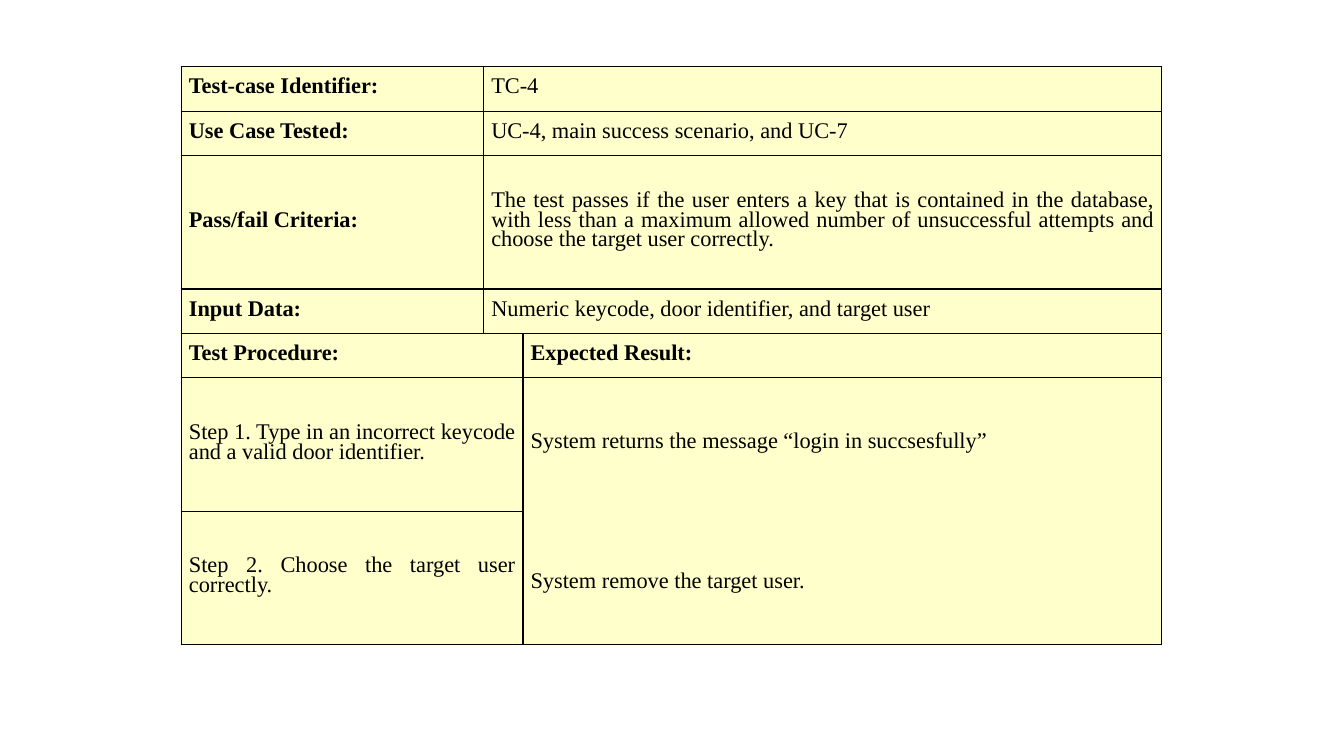
from lxml import etree
from pptx import Presentation
from pptx import util as u
from pptx.dml.color import RGBColor
from pptx.enum import text
from pptx.oxml import ns

BLACK = RGBColor(0x00, 0x00, 0x00)
CREAM = RGBColor(0xFF, 0xFF, 0xCC)

COLUMN_WIDTHS = (7.62, 0.99, 16.1)
SHORT, TALL = 1.12, 3.36
ROW_HEIGHTS = (SHORT, SHORT, TALL, SHORT, SHORT, TALL, TALL)

DETAILS = (
    ("Test-case Identifier:", "TC-4"),
    ("Use Case Tested:", "UC-4, main success scenario, and UC-7"),
    ("Pass/fail Criteria:",
     "The test passes if the user enters a key that is contained in the database, "
     "with less than a maximum allowed number of unsuccessful attempts and "
     "choose the target user correctly."),
    ("Input Data:", "Numeric keycode, door identifier, and target user"),
)
STEPS = (
    "Step 1. Type in an incorrect keycode and a valid door identifier.",
    "Step 2. Choose the target user correctly.",
)
RESULTS = (
    "System returns the message “login in succsesfully”",
    "System remove the target user.",
)


class SlideBuilder:
    font_name = "Times New Roman"
    font_size = u.Pt(16)
    line_spacing = u.Pt(14)
    side_margin = u.Cm(0.19)

    def __init__(self, slide):
        self.slide = slide

    def table(self, left, top, widths, heights):
        frame = self.slide.shapes.add_table(
            len(heights), len(widths), u.Cm(left), u.Cm(top),
            u.Cm(sum(widths)), u.Cm(sum(heights)))
        table = frame.table
        table.first_row = table.horz_banding = False
        for column, width in zip(table.columns, widths):
            column.width = u.Cm(width)
        for row, height in zip(table.rows, heights):
            row.height = u.Cm(height)
        for cell in table.iter_cells():
            self.style_cell(cell)
        return table

    def style_cell(self, cell):
        properties = cell._tc.get_or_add_tcPr()
        for side in ("a:lnL", "a:lnR", "a:lnT", "a:lnB"):
            line = etree.SubElement(properties, ns.qn(side), w=str(u.Pt(1)))
            fill = etree.SubElement(line, ns.qn("a:solidFill"))
            etree.SubElement(fill, ns.qn("a:srgbClr"), val=str(BLACK))
        cell.fill.solid()
        cell.fill.fore_color.rgb = CREAM
        cell.margin_left = cell.margin_right = self.side_margin
        cell.margin_top = cell.margin_bottom = 0
        cell.vertical_anchor = text.MSO_ANCHOR.MIDDLE

    def cell_text(self, cell, *lines, bold=False, gap=6,
                  alignment=text.PP_ALIGN.JUSTIFY):
        frame = cell.text_frame
        for index, line in enumerate(lines):
            paragraph = frame.add_paragraph() if index else frame.paragraphs[0]
            paragraph.alignment = alignment
            paragraph.line_spacing = self.line_spacing
            paragraph.space_before = u.Pt(gap if index else 6)
            run = paragraph.add_run()
            run.text = line
            run.font.name = self.font_name
            run.font.size = self.font_size
            run.font.bold = bold
            run.font.color.rgb = BLACK


def main():
    presentation = Presentation()
    presentation.slide_width = u.Cm(33.87)
    presentation.slide_height = u.Cm(19.05)
    builder = SlideBuilder(
        presentation.slides.add_slide(presentation.slide_layouts[6]))
    table = builder.table(4.57, 1.68, COLUMN_WIDTHS, ROW_HEIGHTS)

    # Test case details: the value spans the last two columns
    for row, (label, value) in enumerate(DETAILS):
        table.cell(row, 1).merge(table.cell(row, 2))
        builder.cell_text(table.cell(row, 0), label, bold=True)
        builder.cell_text(table.cell(row, 1), value)

    # Procedure: the step spans the first two columns
    header = len(DETAILS)
    for row, step in enumerate(("Test Procedure:",) + STEPS, header):
        table.cell(row, 0).merge(table.cell(row, 1))
        builder.cell_text(table.cell(row, 0), step, bold=row == header)

    # Expected results: one cell beside both steps
    builder.cell_text(table.cell(header, 2), "Expected Result:", bold=True)
    result_cell = table.cell(header + 1, 2)
    result_cell.merge(table.cell(header + 2, 2))
    result_cell.vertical_anchor = text.MSO_ANCHOR.TOP
    result_cell.margin_top = u.Pt(40)
    builder.cell_text(result_cell, *RESULTS, gap=86,
                      alignment=text.PP_ALIGN.LEFT)

    presentation.save("out.pptx")


if __name__ == "__main__":
    main()
